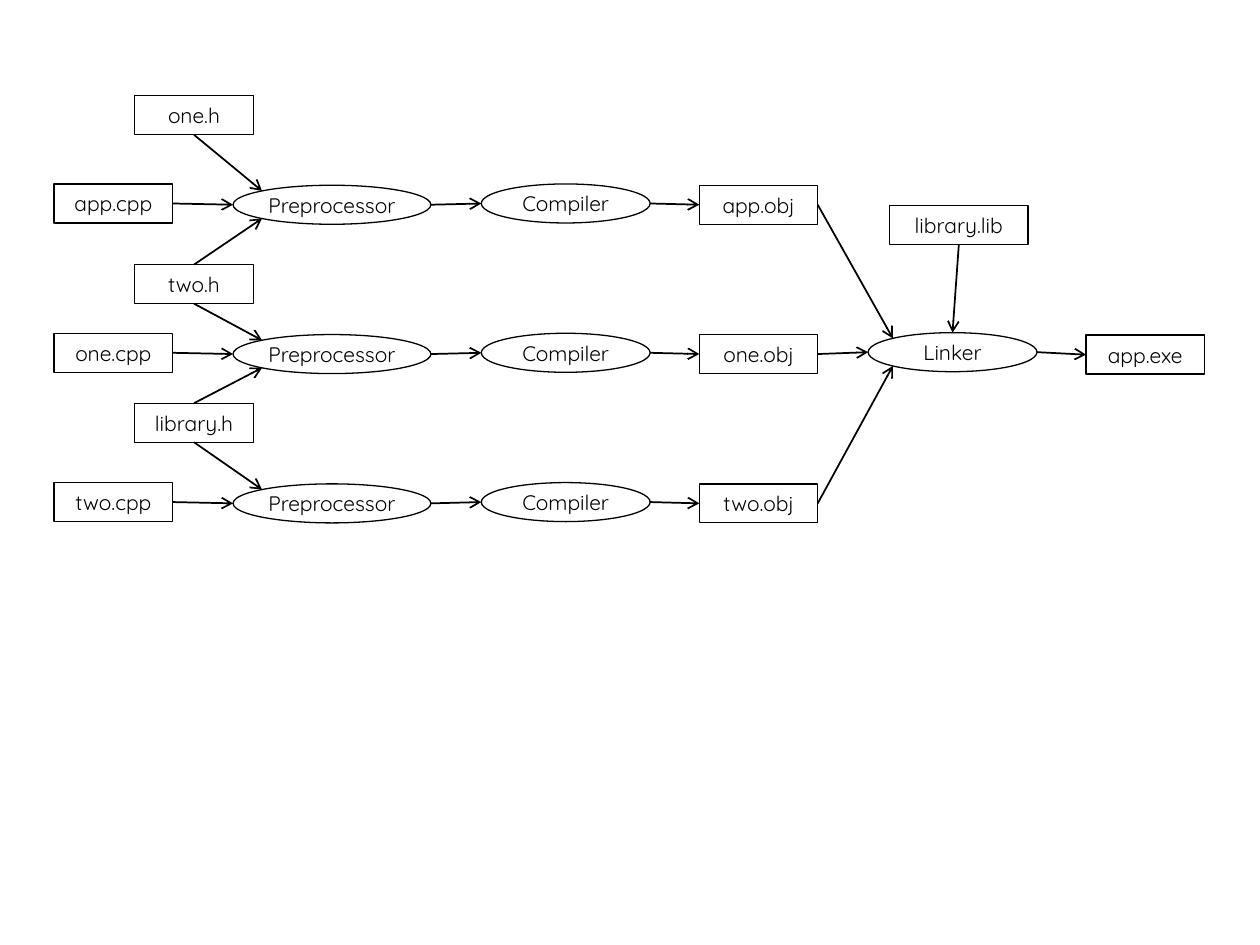
from dataclasses import dataclass
from math import cos, pi

from lxml import etree
from pptx import Presentation
from pptx.dml.color import RGBColor
from pptx.enum.shapes import MSO_CONNECTOR, MSO_SHAPE
from pptx.enum.text import MSO_ANCHOR, PP_ALIGN
from pptx.oxml.ns import qn
from pptx.util import Inches, Pt

FILE, TOOL = MSO_SHAPE.RECTANGLE, MSO_SHAPE.OVAL
STRAIGHT = MSO_CONNECTOR.STRAIGHT
CENTER, MIDDLE = PP_ALIGN.CENTER, MSO_ANCHOR.MIDDLE

ROW_HEIGHT = 0.31
FILE_WIDTH, PREPROCESSOR_WIDTH, TOOL_WIDTH = 0.94, 1.57, 1.34
LANE_COLUMNS = (0, 1.42, 3.39, 5.12)
LANE_STEP = 1.185
HEADER_ROWS = (0, 1.34, 2.44)

DIAGONAL = cos(pi / 4) / 2
# Offset from the centre as a share of the size, and the rectangle's site
SIDES = {
    "top": (0, -0.5, 0),
    "left": (-0.5, 0, 1),
    "bottom": (0, 0.5, 2),
    "right": (0.5, 0, 3),
    "top left": (-DIAGONAL, -DIAGONAL, None),
    "bottom left": (-DIAGONAL, DIAGONAL, None),
}


@dataclass(frozen=True)
class Theme:
    ink: RGBColor = RGBColor(0, 0, 0)
    paper: RGBColor = RGBColor(255, 255, 255)
    font: str = "Quicksand"
    text_size: float = 12
    outline: float = 0.75
    arrow: float = 1


@dataclass(frozen=True)
class Box:
    left: float
    top: float

    def place(self, x, y, width):
        return [Inches(v) for v in (self.left + x, self.top + y, width, ROW_HEIGHT)]


THEME = Theme()


def write(frame, text, *, size=THEME.text_size, color=THEME.ink, align=CENTER):
    frame.word_wrap = True
    frame.vertical_anchor = MIDDLE
    paragraph = frame.paragraphs[0]
    paragraph.alignment = align
    run = paragraph.add_run()
    run.text = text
    run.font.name = THEME.font
    run.font.size = Pt(size)
    run.font.color.rgb = color


def add_node(slide, kind, label, place):
    node = slide.shapes.add_shape(kind, *place)
    node.shadow.inherit = False
    node.fill.solid()
    node.fill.fore_color.rgb = THEME.paper
    node.line.color.rgb = THEME.ink
    node.line.width = Pt(THEME.outline)
    if kind == TOOL:
        node.text_frame.margin_left = node.text_frame.margin_right = 0
    write(node.text_frame, label)
    return node


def side_point(node, side):
    dx, dy, _ = SIDES[side]
    return (round(node.left + node.width * (0.5 + dx)),
            round(node.top + node.height * (0.5 + dy)))


def add_arrow(slide, source, source_side, target, target_side):
    """Join two nodes; only rectangles are glued, as ovals number sites differently."""
    arrow = slide.shapes.add_connector(
        STRAIGHT, *side_point(source, source_side), *side_point(target, target_side))
    if source.auto_shape_type == FILE:
        arrow.begin_connect(source, SIDES[source_side][2])
    if target.auto_shape_type == FILE:
        arrow.end_connect(target, SIDES[target_side][2])
    arrow.line.color.rgb = THEME.ink
    arrow.line.width = Pt(THEME.arrow)
    etree.SubElement(arrow.line._get_or_add_ln(), qn("a:tailEnd"), type="arrow")
    etree.SubElement(arrow._element.spPr, qn("a:effectLst"))


def add_lane(slide, box, unit):
    """Compile one unit from source to object; return preprocessor and object."""
    parts = (
        (FILE, f"{unit}.cpp", 0, FILE_WIDTH),
        (TOOL, "Preprocessor", 0.01, PREPROCESSOR_WIDTH),
        (TOOL, "Compiler", 0, TOOL_WIDTH),
        (FILE, f"{unit}.obj", 0.01, FILE_WIDTH),
    )
    steps = [add_node(slide, kind, label, box.place(x, y, width))
             for x, (kind, label, y, width) in zip(LANE_COLUMNS, parts)]
    for source, target in zip(steps, steps[1:]):
        add_arrow(slide, source, "right", target, "left")
    return steps[1], steps[3]


def add_headers(slide, box, preprocessors):
    app, one, two = preprocessors
    headers = (
        ("one.h", [("bottom", app, "top left")]),
        ("two.h", [("top", app, "bottom left"), ("bottom", one, "top left")]),
        ("library.h", [("top", one, "bottom left"), ("bottom", two, "top left")]),
    )
    for y, (label, includes) in zip(HEADER_ROWS, headers):
        header = add_node(slide, FILE, label, box.place(0, y, FILE_WIDTH))
        for side, preprocessor, target_side in includes:
            add_arrow(slide, header, side, preprocessor, target_side)


def add_link_stage(slide, box, objects):
    library = add_node(slide, FILE, "library.lib", box.place(0.17, 0, 1.1))
    linker = add_node(slide, TOOL, "Linker", box.place(0, 1.01, TOOL_WIDTH))
    program = add_node(slide, FILE, "app.exe", box.place(1.73, 1.03, FILE_WIDTH))
    for object_file, side in zip(objects, ("top left", "left", "bottom left")):
        add_arrow(slide, object_file, "right", linker, side)
    add_arrow(slide, library, "bottom", linker, "top")
    add_arrow(slide, linker, "right", program, "left")


def main():
    deck = Presentation()
    deck.slide_width, deck.slide_height = Inches(10), Inches(7.5)
    slide = deck.slides.add_slide(deck.slide_layouts[6])
    lanes = [add_lane(slide, Box(0.43, 1.46 + row * LANE_STEP), unit)
             for row, unit in enumerate(("app", "one", "two"))]
    preprocessors, objects = zip(*lanes)
    add_headers(slide, Box(1.07, 0.76), preprocessors)
    add_link_stage(slide, Box(6.89, 1.63), objects)
    deck.save("out.pptx")


if __name__ == "__main__":
    main()
